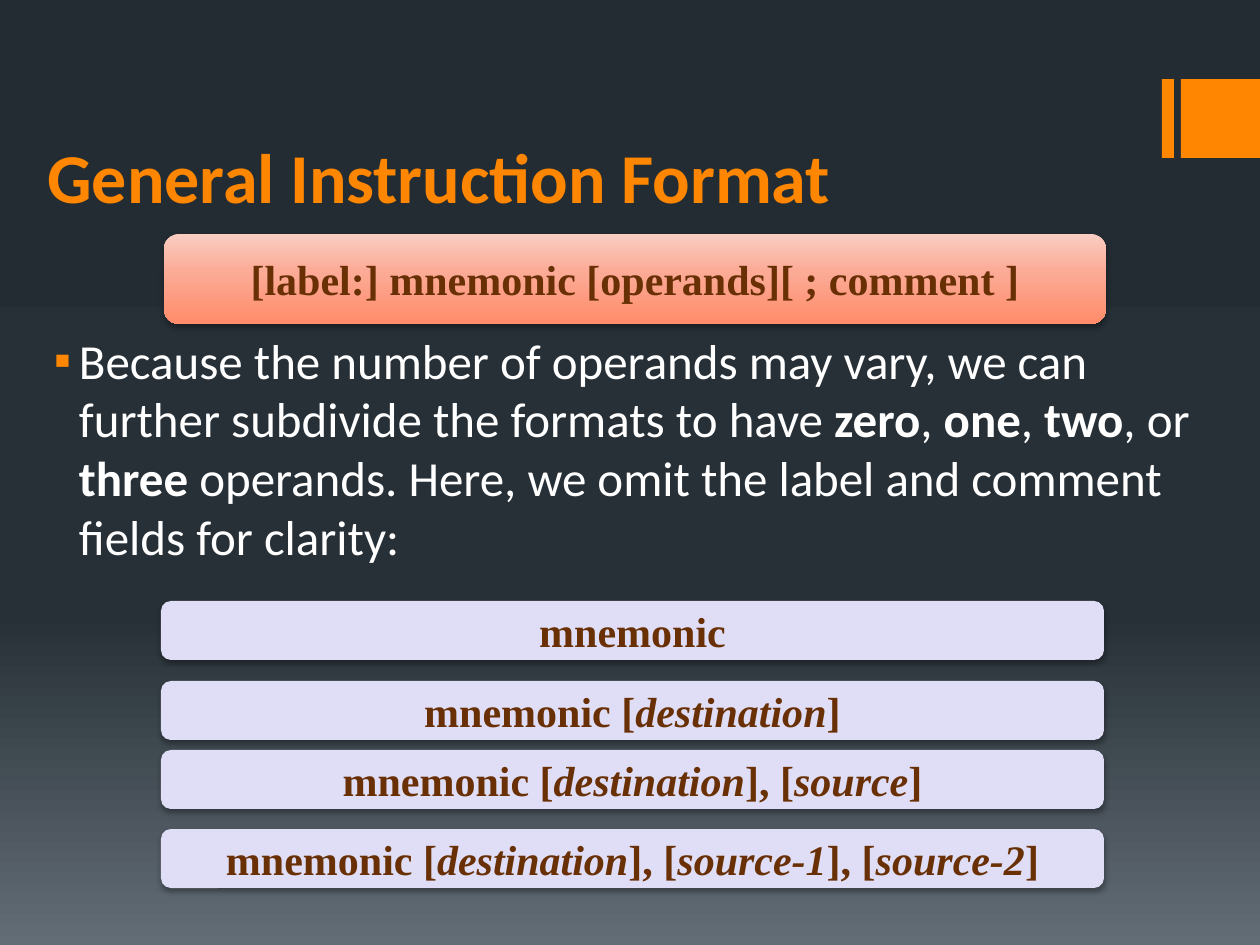
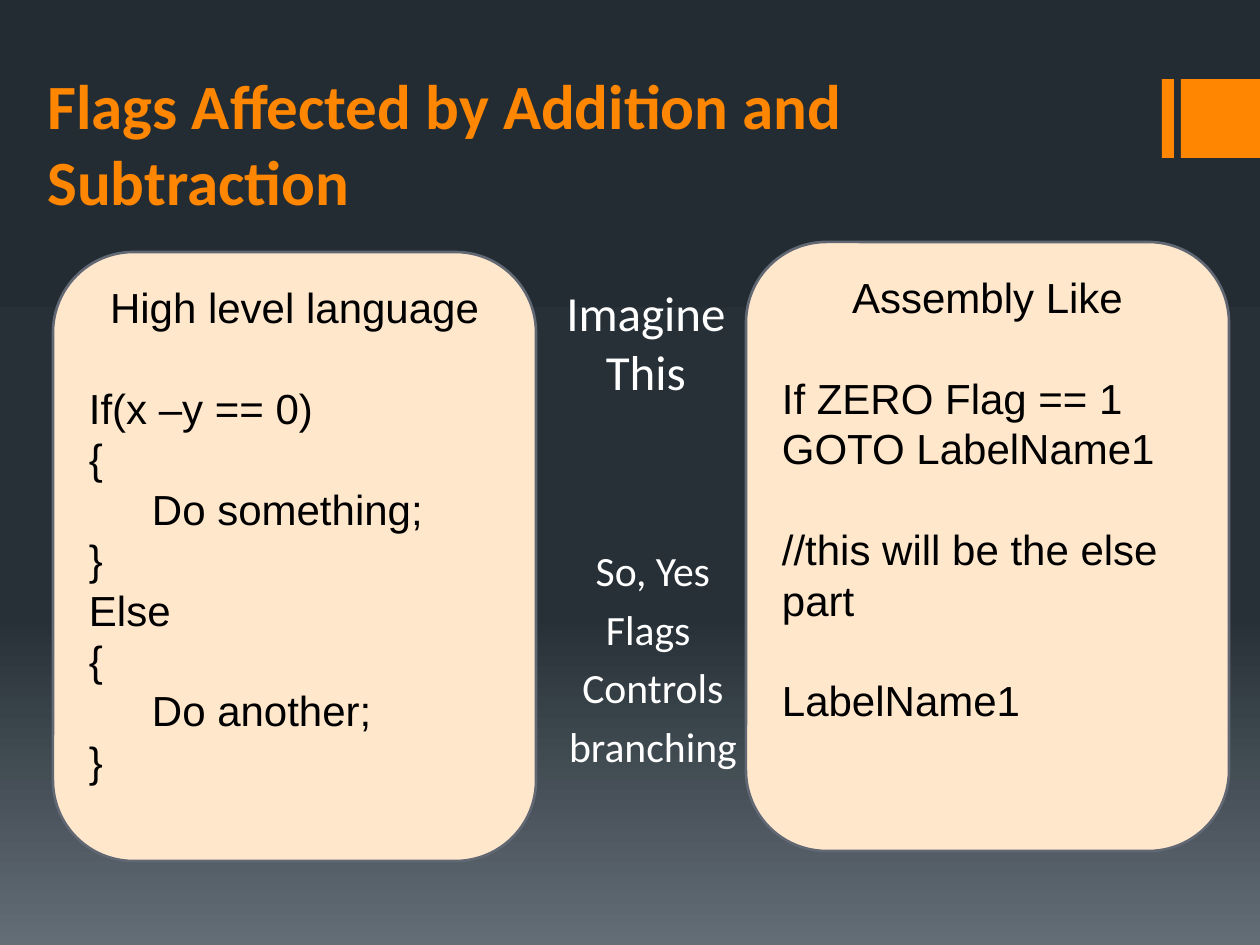
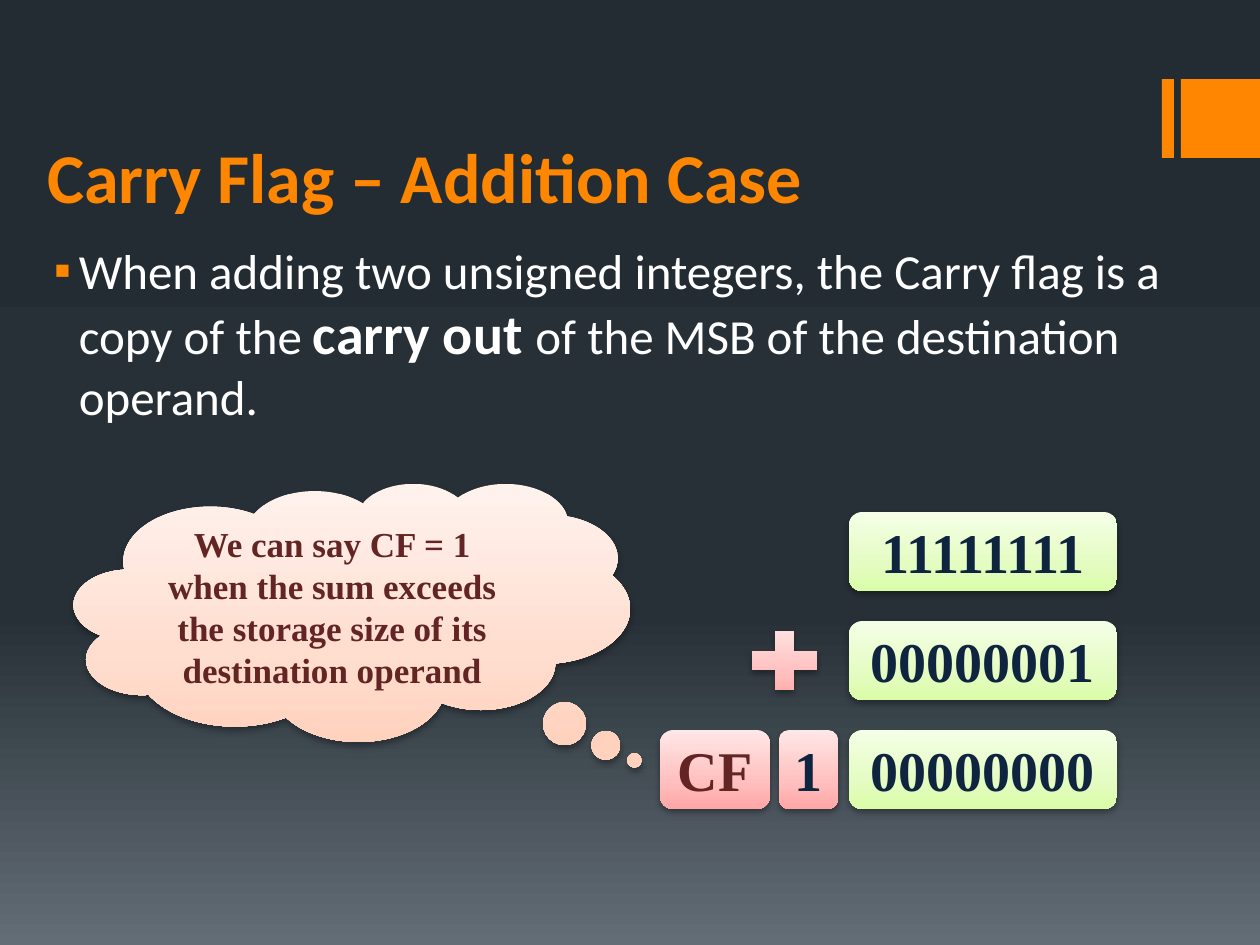
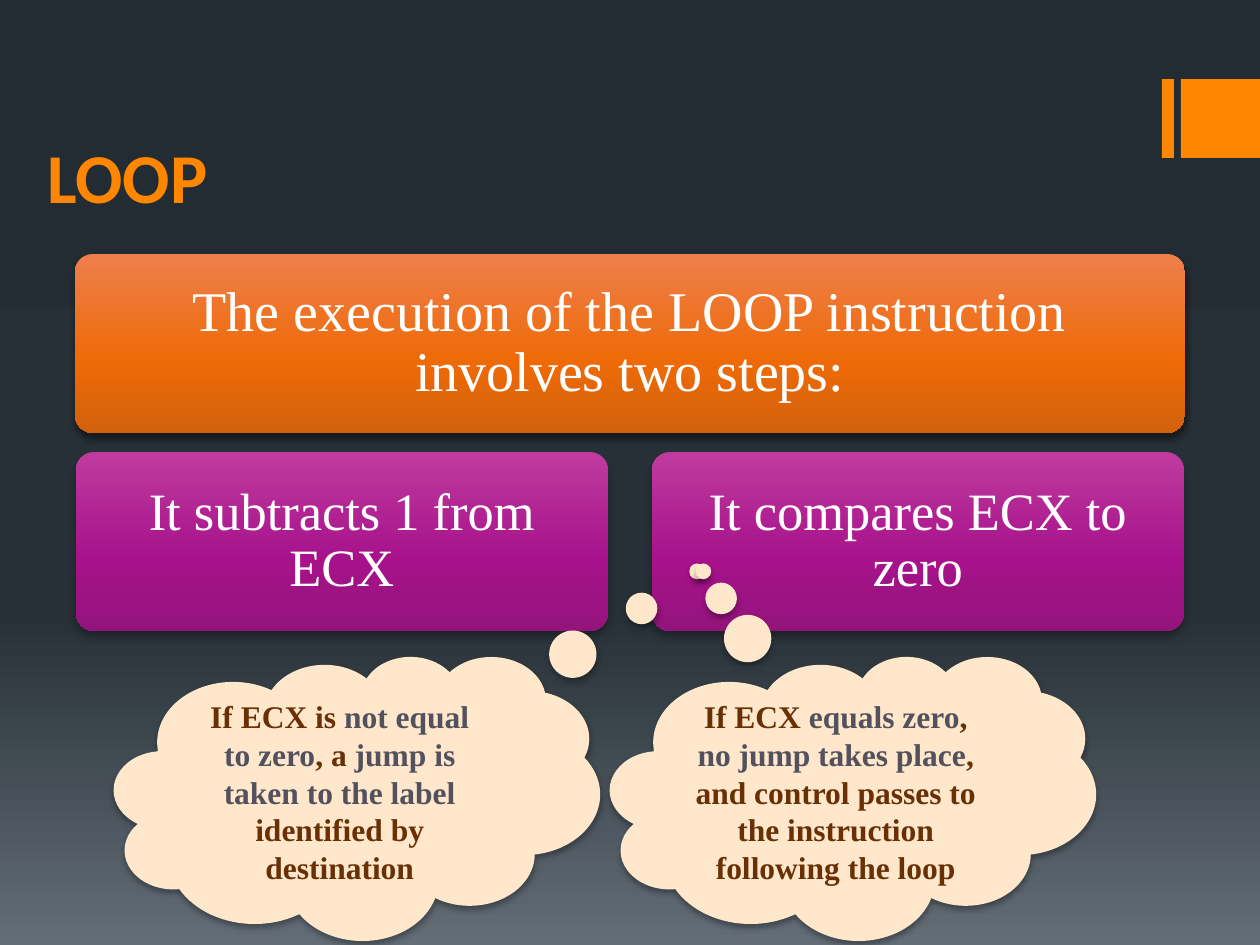
import pptx
import pptx.util
import pptx.dml.color
import pptx.enum.shapes
import pptx.enum.text
import pptx.oxml
import pptx.oxml.ns
import lxml.etree

PX = 914400 / 126
SHAPE = pptx.enum.shapes.MSO_SHAPE
ALIGN = pptx.enum.text.PP_ALIGN
ANCHOR = pptx.enum.text.MSO_ANCHOR
SERIF = "Times New Roman"
COLORS = {
    "orange": "FF8600", "white": "FFFFFF", "black": "000000", "lilac": "DFDEF6",
    "brown": "693006", "slate": "53515E", "cream": "FFE7CC", "edge": "616873",
    "navy": "0F243E", "wine": "632523",
}
GRADS = {
    "night": [(0, "242C33"), (65, "273037"), (100, "636D76")],
    "coral": [(0, "F9CDC2"), (41, "FCAB97"), (100, "FF8C6A")],
    "lime": [(0, "F5FFE7"), (65, "E4FCC2"), (100, "DAFDA7")],
    "pink": [(0, "FFE7E7"), (65, "FFC0BF"), (100, "FFA6A5")],
    "peach": [(0, "FFF2ED"), (65, "FFDED0"), (100, "FFD2BD")],
    "flame": [(0, "EE7F4C"), (60, "EE6A07"), (100, "D2610C")],
    "plum": [(0, "BF3B9F"), (60, "A7128B"), (100, "94147C")],
}
SOFT = (32, 3.5, 2.2)


def px(*vals):
    """Turn pixels into a list of EMU lengths."""
    return [round(val * PX) for val in vals]


def rgb(name):
    """Look up a named colour."""
    return pptx.dml.color.RGBColor.from_string(COLORS[name])


def sub(node, tag, **attrs):
    """Append a DrawingML child with the given attributes."""
    child = lxml.etree.SubElement(node, pptx.oxml.ns.qn("a:" + tag))
    for key, val in attrs.items():
        child.set(key, str(val))
    return child


def paint(fill, root, name):
    """Fill with a flat colour or a top-down gradient."""
    if name in COLORS:
        fill.solid()
        fill.fore_color.rgb = rgb(name)
        return
    fill.gradient()
    fill.gradient_angle = 270
    stops = root.find(".//" + pptx.oxml.ns.qn("a:gsLst"))
    for stop in list(stops):
        stops.remove(stop)
    for pos, code in GRADS[name]:
        sub(sub(stops, "gs", pos=pos * 1000), "srgbClr", val=code)


def shade(shape, alpha, blur, dist):
    """Give a shape a black shadow that falls straight down."""
    effects = shape.element.spPr.find(pptx.oxml.ns.qn("a:effectLst"))
    outer = sub(effects, "outerShdw", blurRad=round(blur * 12700),
                dist=round(dist * 12700), dir=5400000, algn="ctr", rotWithShape=0)
    sub(sub(outer, "srgbClr", val=COLORS["black"]), "alpha", val=alpha * 1000)


def form(slide, kind, box, fill, line=None, shadow=None, adjs=()):
    """Place a preset shape."""
    shape = slide.shapes.add_shape(kind, *px(*box))
    for num, val in enumerate(adjs):
        shape.adjustments[num] = val
    paint(shape.fill, shape.element, fill)
    if line:
        shape.line.color.rgb = rgb(line)
        shape.line.width = pptx.util.Pt(1.5)
    else:
        shape.line.fill.background()
    shape.shadow.inherit = False
    if shadow:
        shade(shape, *shadow)
    return shape


def style(font, size=None, color=None, name=None, bold=None, italic=None):
    """Set only the font traits that are given."""
    if size:
        font.size = pptx.util.Pt(size)
    if color:
        font.color.rgb = rgb(color)
    if name:
        font.name = name
    if bold is not None:
        font.bold = bold
    if italic is not None:
        font.italic = italic


def bullet(para):
    """Give a paragraph a hanging orange square."""
    props = para._p.get_or_add_pPr()
    props.set("marL", str(px(31.5)[0]))
    props.set("indent", str(px(-25)[0]))
    sub(sub(props, "buClr"), "srgbClr", val=COLORS["orange"])
    sub(props, "buFont", typeface="Arial")
    sub(props, "buChar", char="▪")


def write(shape, paras, align=ALIGN.CENTER, anchor=ANCHOR.MIDDLE, mark=False, **look):
    """Write paragraphs of plain runs or (text, traits) runs."""
    frame = shape.text_frame
    frame.word_wrap = True
    frame.vertical_anchor = anchor
    for num, runs in enumerate(paras):
        para = frame.add_paragraph() if num else frame.paragraphs[0]
        if mark:
            bullet(para)
        para.alignment = align
        style(para.font, **look)
        for part in [runs] if isinstance(runs, str) else runs:
            text, traits = (part, {}) if isinstance(part, str) else part
            run = para.add_run()
            run.text = text
            style(run.font, **traits)
    return frame


def note(slide, box, paras, **look):
    """Place white body text."""
    look = {"size": 28, "color": "white", "name": "Calibri", "anchor": ANCHOR.TOP, **look}
    return write(slide.shapes.add_textbox(*px(*box)), paras, **look)


def page(deck, title, size=40):
    """Add a slide with backdrop, corner bands and title."""
    slide = deck.slides.add_slide(deck.slide_layouts[6])
    paint(slide.background.fill, slide.element, "night")
    for left, width in ((1162, 12), (1181, 79)):
        form(slide, SHAPE.RECTANGLE, (left, 79, width, 79), "orange")
    note(slide, (35, 66, 1108, 158), [title], size=size, color="orange", bold=True,
         align=ALIGN.LEFT, anchor=ANCHOR.BOTTOM)
    return slide


def bar(slide, box, runs, fill="lilac"):
    """Place one syntax bar."""
    shape = form(slide, SHAPE.ROUNDED_RECTANGLE, box, fill, shadow=SOFT)
    write(shape, [runs], size=24, color="brown", name=SERIF, bold=True)


def code(slide, box, lines, gaps):
    """Place a code card, with a blank line's space before the lines in gaps."""
    shape = form(slide, SHAPE.ROUNDED_RECTANGLE, box, "cream", line="edge")
    frame = write(shape, lines, align=ALIGN.LEFT, anchor=ANCHOR.TOP,
                  size=24, color="black", name="Arial")
    frame.paragraphs[0].alignment = ALIGN.CENTER
    for num in gaps:
        frame.paragraphs[num].space_before = pptx.util.Pt(28.8)


def bits(slide, box, text, fill, color="navy"):
    """Place one box of the binary sum."""
    shape = form(slide, SHAPE.ROUNDED_RECTANGLE, box, fill, shadow=SOFT)
    write(shape, [text], size=32, color=color, name=SERIF, bold=True)


def total(slide, box):
    """Lay out the binary addition with its carry."""
    left, top, width, height = box
    step = 109
    for num, text in enumerate(("11111111", "00000001", "00000000")):
        bits(slide, (left, top + num * step, width, height), text, "lime")
    last = top + 2 * step
    bits(slide, (left - 189, last, 110, height), "CF", "pink", "wine")
    bits(slide, (left - 70, last, 59, height), "1", "pink")
    form(slide, SHAPE.MATH_PLUS, (left - 109, top + step, 89, height), "pink", shadow=SOFT)


def cloud(slide, box, tail, runs, size, fill="cream", color="brown"):
    """Place a thought cloud with its tail."""
    shape = form(slide, SHAPE.CLOUD_CALLOUT, box, fill, shadow=SOFT, adjs=tail)
    write(shape, [runs], size=size, color=color, name=SERIF, bold=True)


def step(slide, box, text, size, inset, fill, shadow):
    """Place one card of the step chart."""
    shape = form(slide, SHAPE.ROUNDED_RECTANGLE, box, fill, shadow=shadow, adjs=[0.1])
    frame = write(shape, [text], size=size, color="white", name=SERIF)
    frame.paragraphs[0].line_spacing = 0.9
    frame.margin_left = frame.margin_right = px(inset)[0]
    frame.margin_top = frame.margin_bottom = px(inset)[0]


def syntax(deck):
    """Build the instruction format slide."""
    slide = page(deck, "General Instruction Format")
    strong = {"bold": True}
    note(slide, (35, 324, 1201, 277), [[
        "Because the number of operands may vary, we can further subdivide the formats to have ",
        ("zero", strong), ", ", ("one", strong), ", ", ("two", strong), ", or ",
        ("three", strong),
        " operands. Here, we omit the label and comment fields for clarity:"]],
        align=ALIGN.LEFT, mark=True)
    forms = ((601, ()), (681, ("destination",)), (750, ("destination", "source")),
             (829, ("destination", "source-1", "source-2")))
    for top, names in forms:
        runs = ["mnemonic" + (" [" if names else "")]
        for num, name in enumerate(names, 1):
            runs += [(name, {"italic": True}), "], [" if num < len(names) else "]"]
        bar(slide, (161, top, 943, 59), runs)
    bar(slide, (164, 234, 942, 90), "[label:] mnemonic [operands][ ; comment ]", "coral")


def flags(deck):
    """Build the flags and branching slide."""
    slide = page(deck, "Flags Affected by Addition and Subtraction", 36)
    ask = note(slide, (539, 276, 207, 154), ["Imagine This"])
    code(slide, (53, 252, 483, 609),
         ["High level language", "If(x –y == 0)", "{", "\tDo something;", "}",
          "Else", "{", "\tDo another;", "}"], [1])
    code(slide, (746, 242, 483, 609),
         ["Assembly Like", "If ZERO Flag == 1", "GOTO LabelName1",
          "//this will be the else part", "LabelName1"], [1, 3, 4])
    reply = note(slide, (546, 539, 207, 248),
                 ["So, Yes", "Flags ", "Controls", "branching"], size=23.8)
    for para in reply.paragraphs[1:]:
        para.space_before = pptx.util.Pt(4.8)
    for frame in (ask, reply):
        frame.margin_left = px(19)[0]


def carry(deck):
    """Build the carry flag slide."""
    slide = page(deck, "Carry Flag – Addition Case")
    note(slide, (35, 234, 1201, 665), [[
        "When adding two unsigned integers, the Carry flag is a copy of the ",
        ("carry out ", {"size": 32, "bold": True}),
        "of the MSB of the destination operand."]], align=ALIGN.LEFT, mark=True)
    total(slide, (849, 512, 268, 79))
    cloud(slide, (74, 483, 556, 258), (0.508, 0.575),
          "We can say CF = 1 when the sum exceeds the storage size of its destination operand",
          20, "peach", "wine")


def loop(deck):
    """Build the loop slide."""
    slide = page(deck, "LOOP")
    step(slide, (75, 254, 1110, 179),
         "The execution of the LOOP instruction involves two steps:",
         32, 24, "flame", (48, 3.8, 3))
    for left, text in ((76, "It subtracts 1 from ECX"), (652, "It compares ECX to zero")):
        step(slide, (left, 452, 532, 179), text, 30, 15, "plum", (28, 4, 3))
    calm = {"color": "slate"}
    cloud(slide, (114, 656, 486, 284), (0.7, -0.798),
          ["If ECX is ", ("not equal to zero", calm), ", a ",
           ("jump is taken to the label ", calm), "identified by destination"], 18)
    cloud(slide, (610, 656, 486, 284), (-0.308, -0.798),
          ["If ECX ", ("equals zero", calm), ", ", ("no jump takes place", calm),
           ", and control passes to the instruction following the loop"], 18)


def main():
    """Build and save the deck."""
    deck = pptx.Presentation()
    deck.slide_width, deck.slide_height = px(1260, 945)
    for build in (syntax, flags, carry, loop):
        build(deck)
    deck.save("out.pptx")


main()
